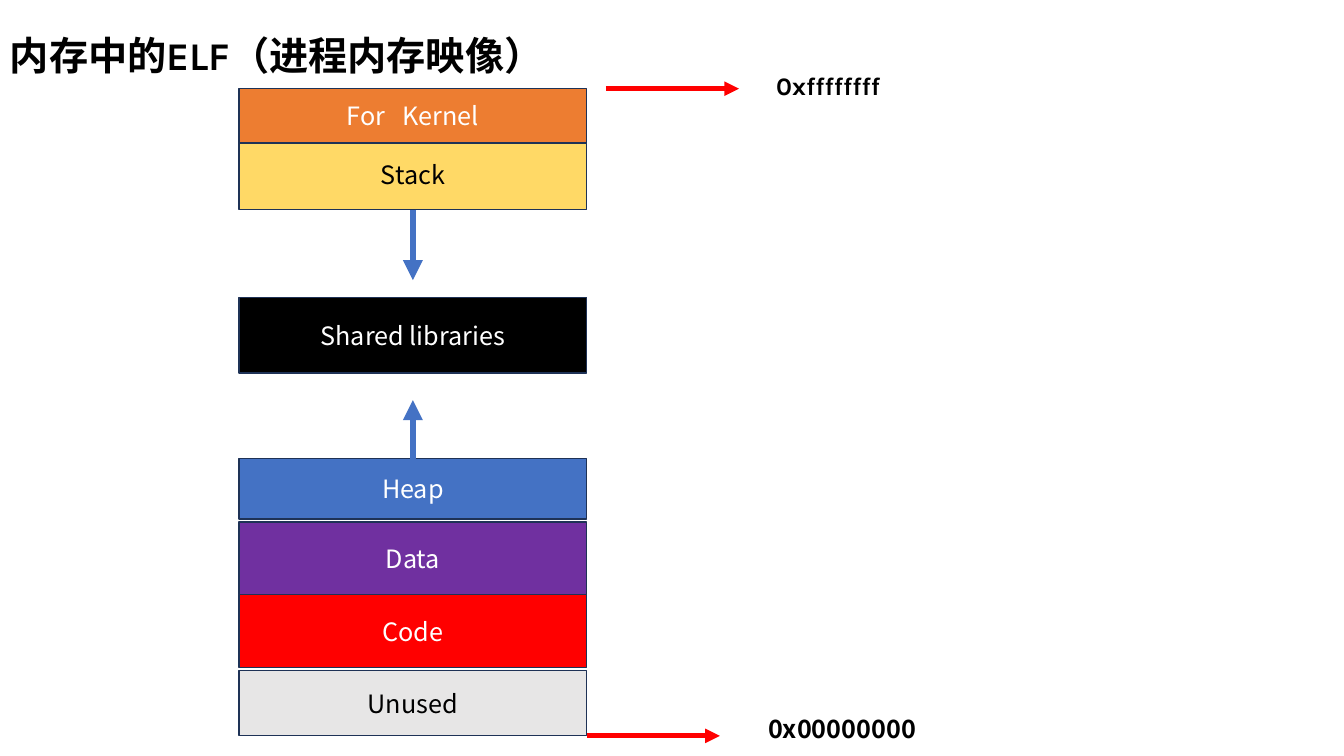
from lxml.etree import SubElement
from pptx import Presentation
from pptx.dml.color import RGBColor
from pptx.enum.shapes import MSO_CONNECTOR, MSO_SHAPE
from pptx.enum.text import MSO_ANCHOR, PP_ALIGN
from pptx.oxml.ns import qn
from pptx.util import Inches, Pt

LATIN_FONT = "Karla"
CJK_FONT = "Noto Sans CJK SC"
BLACK, WHITE = "000000", "FFFFFF"
BLUE, RED = "4472C4", "FF0000"
OUTLINE = "1E3256"

STACK_LEFT, STACK_WIDTH = 2.37, 3.45
STACK_RIGHT = STACK_LEFT + STACK_WIDTH
STACK_CENTER = STACK_LEFT + STACK_WIDTH / 2
MEMORY_TOP, MEMORY_BOTTOM = 0.88, 7.3
TOP_SIDE, BOTTOM_SIDE = 0, 2

# Name, top, height, fill, text colour; the kernel overlaps the stack's top edge
SEGMENTS = [
    ("Stack", 1.38, 0.7, "FFD966", BLACK),
    ("Heap", 4.55, 0.6, BLUE, WHITE),
    ("Data", 5.18, 0.72, "7030A0", WHITE),
    ("For   Kernel", MEMORY_TOP, 0.54, "ED7D31", WHITE),
    ("Code", 5.9, 0.72, RED, WHITE),
    ("Unused", 6.65, 0.65, "E7E6E6", BLACK),
    ("Shared libraries", 2.95, 0.75, BLACK, WHITE),
]


def color(hex_value):
    return RGBColor.from_string(hex_value)


def add_run(paragraph, text, size, font, hex_value, bold=False):
    run = paragraph.add_run()
    run.text = text
    run.font.size = Pt(size)
    run.font.name = font
    run.font.bold = bold
    run.font.color.rgb = color(hex_value)
    SubElement(run.font._element, qn("a:ea")).set("typeface", CJK_FONT)


def add_label(slide, text, left, top, width, height, size, font):
    label = slide.shapes.add_textbox(
        Inches(left), Inches(top), Inches(width), Inches(height))
    label.text_frame.word_wrap = True
    add_run(label.text_frame.paragraphs[0], text, size, font, BLACK, bold=True)
    return label


def add_segment(slide, name, top, height, fill, text_color):
    segment = slide.shapes.add_shape(
        MSO_SHAPE.RECTANGLE, Inches(STACK_LEFT), Inches(top),
        Inches(STACK_WIDTH), Inches(height))
    segment.shadow.inherit = False
    segment.fill.solid()
    segment.fill.fore_color.rgb = color(fill)
    segment.line.color.rgb = color(OUTLINE)
    segment.line.width = Pt(1)
    segment.text_frame.vertical_anchor = MSO_ANCHOR.MIDDLE
    paragraph = segment.text_frame.paragraphs[0]
    paragraph.alignment = PP_ALIGN.CENTER
    add_run(paragraph, name, 18, CJK_FONT, text_color)
    return segment


def add_arrow(slide, start, end, hex_value, width):
    arrow = slide.shapes.add_connector(
        MSO_CONNECTOR.STRAIGHT, *map(Inches, start + end))
    arrow.line.color.rgb = color(hex_value)
    arrow.line.width = Pt(width)
    SubElement(arrow.line._get_or_add_ln(), qn("a:tailEnd")).set("type", "triangle")
    SubElement(arrow._element.spPr, qn("a:effectLst"))
    return arrow


def add_growth_arrow(slide, segment, side, start_y, end_y):
    """Show the direction in which a segment grows."""
    arrow = add_arrow(
        slide, (STACK_CENTER, start_y), (STACK_CENTER, end_y), BLUE, 4.75)
    arrow.begin_connect(segment, side)


def add_address_arrow(slide, left, y):
    add_arrow(slide, (left, y), (left + 1.32, y), RED, 3.5)


def main():
    presentation = Presentation()
    presentation.slide_width = Inches(13.33)
    presentation.slide_height = Inches(7.5)
    slide = presentation.slides.add_slide(presentation.slide_layouts[6])

    title = add_label(
        slide, "内存中的ELF（进程内存映像）", 0, 0.06, 11.5, 1.03, 28, LATIN_FONT)
    title.text_frame.vertical_anchor = MSO_ANCHOR.MIDDLE
    title.text_frame.paragraphs[0].line_spacing = 0.9

    segments = {row[0]: add_segment(slide, *row) for row in SEGMENTS}
    add_growth_arrow(slide, segments["Stack"], BOTTOM_SIDE, 2.08, 2.78)
    add_growth_arrow(slide, segments["Heap"], TOP_SIDE, 4.55, 3.97)

    add_address_arrow(slide, 6.01, MEMORY_TOP)
    add_label(slide, "0xffffffff", 7.6, 0.65, 2.13, 0.4, 18, LATIN_FONT)
    add_address_arrow(slide, STACK_RIGHT, MEMORY_BOTTOM)
    add_label(slide, "0x00000000", 7.52, 7.03, 1.8, 0.4, 18, CJK_FONT)

    presentation.save("out.pptx")


if __name__ == "__main__":
    main()
